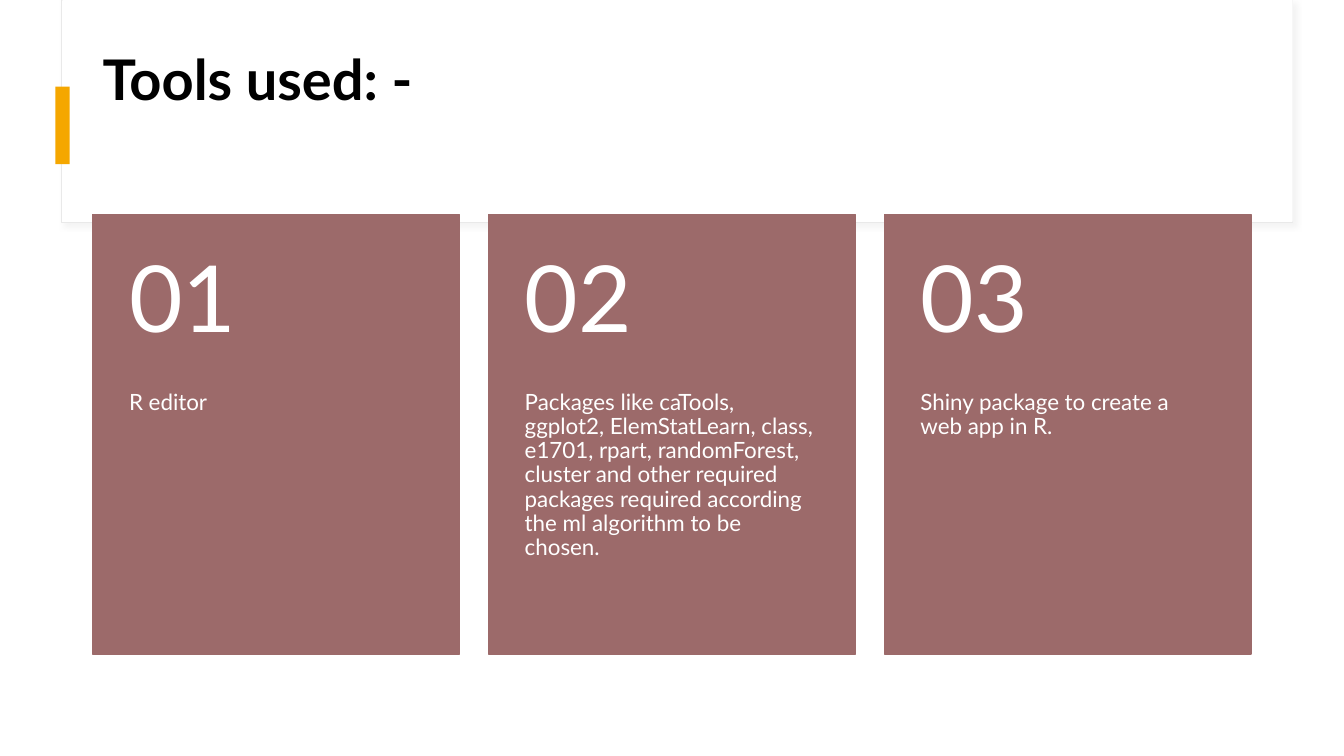
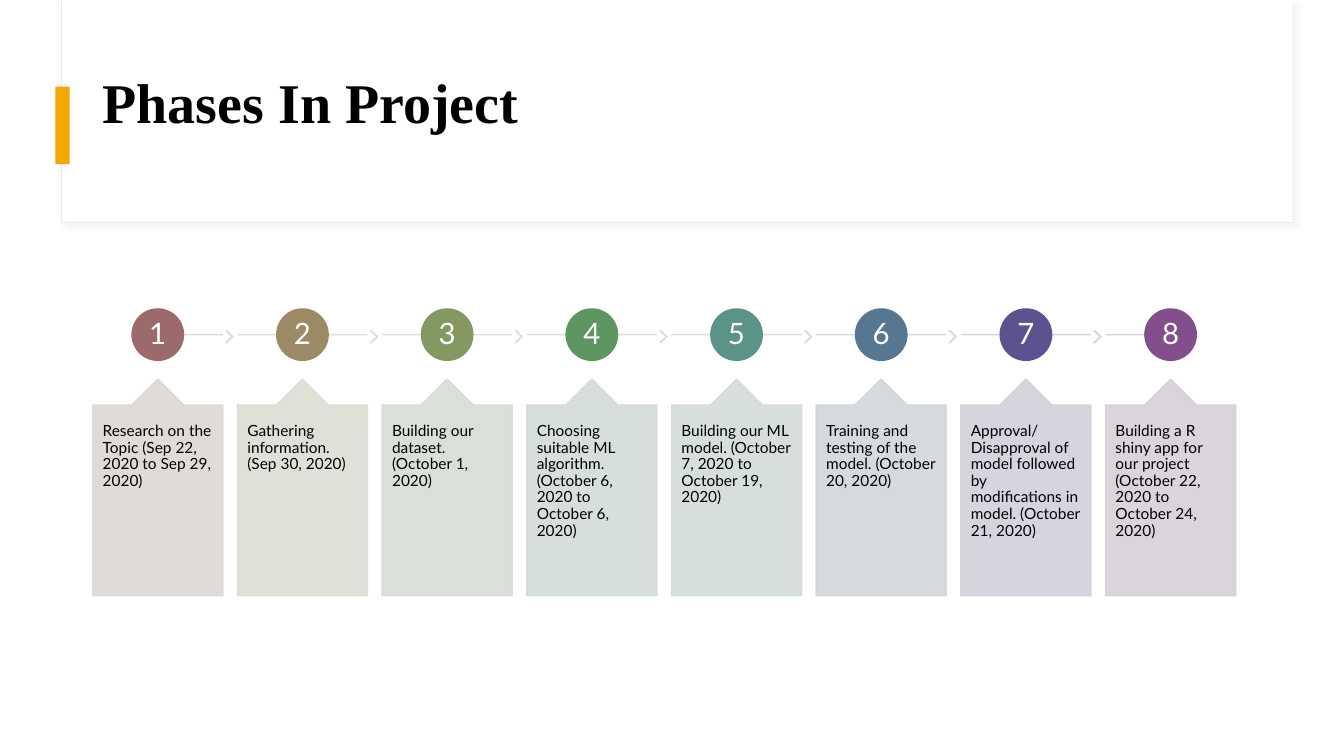
from lxml.etree import SubElement
from pptx import Presentation
from pptx.dml.color import RGBColor
from pptx.enum.shapes import MSO_CONNECTOR, MSO_SHAPE
from pptx.enum.text import MSO_ANCHOR, PP_ALIGN
from pptx.oxml.ns import qn
from pptx.util import Inches, Pt

COLORS = {
    "white": "FFFFFF",
    "black": "000000",
    "accent": "F5A700",
    "frame": "E9E9E9",
    "shadow": "D9D9D9",
    "card": "9C6A6A",
    "circle": ["9C6A6A", "9B8A65", "839961", "5D9661",
               "5A9486", "567691", "5B528F", "824F8C"],
    "link": ["DED4D4", "DEDAD3", "DBDDD3", "D4DDD2",
             "D2DCD7", "D1DADC", "D1D3DB", "D4D0DB"],
    "chevron": ["DED6D4", "DEDCD3", "D8DDD3", "D2DDD3",
                "D2DCD9", "D1D8DC", "D1D1DB"],
    "callout": ["DED8D4", "DDDDD3", "D6DDD3", "D2DCD5",
                "D2DCDB", "D1D6DB", "D2D1DB", "D8D0DA"],
}
FONT = "Lato"
TOOLS = [
    "R editor",
    "Packages like caTools, ggplot2, ElemStatLearn, class, e1701, rpart, "
    "randomForest, cluster and other required packages required according "
    "the ml algorithm to be chosen.",
    "Shiny package to create a web app in R.",
]
PHASES = [
    "Research on the Topic (Sep 22, 2020 to Sep 29, 2020)",
    "Gathering information. (Sep 30, 2020)",
    "Building our dataset. (October 1, 2020)",
    "Choosing suitable ML algorithm. (October 6, 2020 to October 6, 2020)",
    "Building our ML model. (October 7, 2020 to October 19, 2020)",
    "Training and testing of the model. (October 20, 2020)",
    "Approval/Disapproval of model followed by modifications in model. "
    "(October 21, 2020)",
    "Building a R shiny app for our project (October 22, 2020 to October 24, 2020)",
]
LEFT, CONTENT_W = 0.92, 11.49
CARD_TOP, CARD_W, CARD_H, NUMBER_H = 2.13, 3.64, 4.36, 1.75
PHASE_W, PHASE_PITCH = 1.29, 1.435
CIRCLE, AXIS_Y = 0.51, 3.32
CALLOUT_TOP, CALLOUT_H = 3.76, 2.15


def rgb(color):
    return RGBColor.from_string(color)


def set_alpha(sp, percent):
    for clr in sp._element.spPr.iter(qn("a:srgbClr")):
        SubElement(clr, qn("a:alpha")).set("val", str(percent * 1000))


def add_shape(slide, kind, box, fill, line=None, width=1, alpha=None, adj=()):
    sp = slide.shapes.add_shape(kind, *map(Inches, box))
    sp.shadow.inherit = False
    for i, value in enumerate(adj):
        sp.adjustments[i] = value
    sp.fill.solid()
    sp.fill.fore_color.rgb = rgb(fill)
    if line:
        sp.line.color.rgb = rgb(line)
        sp.line.width = Pt(width)
    else:
        sp.line.fill.background()
    if alpha:
        set_alpha(sp, alpha)
    return sp


def add_link(slide, x1, x2, color):
    cn = slide.shapes.add_connector(
        MSO_CONNECTOR.STRAIGHT, *map(Inches, (x1, AXIS_Y, x2, AXIS_Y)))
    cn.line.color.rgb = rgb(color)
    cn.line.width = Pt(1)
    set_alpha(cn, 90)
    SubElement(cn._element.spPr, qn("a:effectLst"))


def add_textbox(slide, box):
    return slide.shapes.add_textbox(*map(Inches, box))


def write(sp, text, size, color, insets, anchor=MSO_ANCHOR.TOP,
          align=PP_ALIGN.LEFT, font=FONT, bold=False):
    tf = sp.text_frame
    tf.word_wrap = True
    tf.vertical_anchor = anchor
    tf.margin_left, tf.margin_top, tf.margin_right, tf.margin_bottom = map(Inches, insets)
    p = tf.paragraphs[0]
    p.alignment = align
    p.line_spacing = 0.9
    r = p.add_run()
    r.text = text
    r.font.name = font
    r.font.size = Pt(size)
    r.font.bold = bold
    r.font.color.rgb = rgb(color)


def add_base(prs, title, top, anchor, font):
    slide = prs.slides.add_slide(prs.slide_layouts[6])
    frame = add_shape(slide, MSO_SHAPE.RECTANGLE, (0.61, 0, 12.21, 2.21),
                      COLORS["white"], COLORS["frame"], 0.75)
    effects = frame._element.spPr.find(qn("a:effectLst"))
    shadow = SubElement(effects, qn("a:outerShdw"), blurRad=str(Pt(4)),
                        dist=str(Pt(3)), dir="2700000", rotWithShape="0")
    clr = SubElement(shadow, qn("a:srgbClr"), val=COLORS["shadow"])
    SubElement(clr, qn("a:alpha"), val="30000")
    add_shape(slide, MSO_SHAPE.RECTANGLE, (0.62, 0, 12.2, 2.2), COLORS["white"])
    add_shape(slide, MSO_SHAPE.RECTANGLE, (0.55, 0.86, 0.14, 0.77), COLORS["accent"])
    write(add_textbox(slide, (LEFT, top, CONTENT_W, 1.1)), title, 40, COLORS["black"],
          (0.1, 0.05, 0.1, 0.05), anchor, font=font, bold=True)
    return slide


def build_tools(prs):
    slide = add_base(prs, "Tools used: -", 0.27, MSO_ANCHOR.MIDDLE, FONT)
    pitch = (CONTENT_W - CARD_W) / (len(TOOLS) - 1)
    for i, text in enumerate(TOOLS):
        x = LEFT + i * pitch
        card = add_shape(slide, MSO_SHAPE.RECTANGLE, (x, CARD_TOP, CARD_W, CARD_H),
                         COLORS["card"], COLORS["card"])
        write(card, text, 16, COLORS["white"], (0.36, NUMBER_H, 0.36, 0.36))
        number = add_textbox(slide, (x, CARD_TOP, CARD_W, NUMBER_H))
        write(number, f"{i + 1:02}", 66, COLORS["white"],
              (0.36, 0.18, 0.36, 0.18), MSO_ANCHOR.MIDDLE)


def build_phases(prs):
    slide = add_base(prs, "Phases In Project", 0.29, MSO_ANCHOR.BOTTOM, "Times New Roman")
    last = len(PHASES) - 1
    for i, text in enumerate(PHASES):
        x = LEFT + i * PHASE_PITCH
        mid, right = x + PHASE_W / 2, x + PHASE_W
        add_link(slide, x if i else mid, right if i < last else mid, COLORS["link"][i])
        if i < last:
            tint = COLORS["chevron"][i]
            add_shape(slide, MSO_SHAPE.CHEVRON, (right + 0.03, 3.28, 0.07, 0.12),
                      tint, tint, alpha=90, adj=(0.9,))
        fill = COLORS["circle"][i]
        circle = add_shape(slide, MSO_SHAPE.OVAL,
                           (mid - CIRCLE / 2, AXIS_Y - CIRCLE / 2, CIRCLE, CIRCLE), fill, fill)
        write(circle, str(i + 1), 21, COLORS["white"], (0.02,) * 4,
              MSO_ANCHOR.MIDDLE, PP_ALIGN.CENTER)
        tint = COLORS["callout"][i]
        callout = add_shape(slide, MSO_SHAPE.UP_ARROW_CALLOUT,
                            (x, CALLOUT_TOP, PHASE_W, CALLOUT_H),
                            tint, tint, alpha=90, adj=(0.5, 0.2, 0.2, 1))
        write(callout, text, 11, COLORS["black"], (0.1, 0.18, 0.1, 0.18))


def main():
    prs = Presentation()
    prs.slide_width, prs.slide_height = Inches(13.33), Inches(7.5)
    build_tools(prs)
    build_phases(prs)
    prs.save("out.pptx")


if __name__ == "__main__":
    main()
